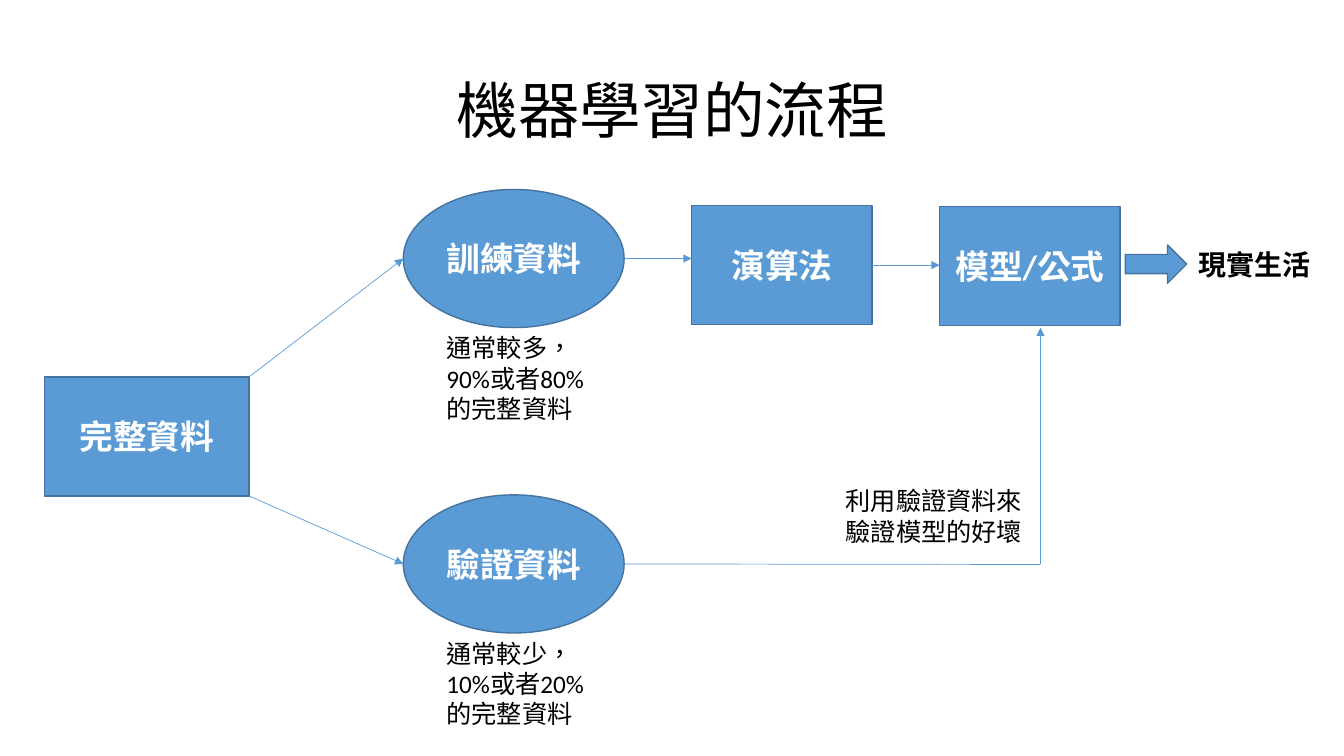
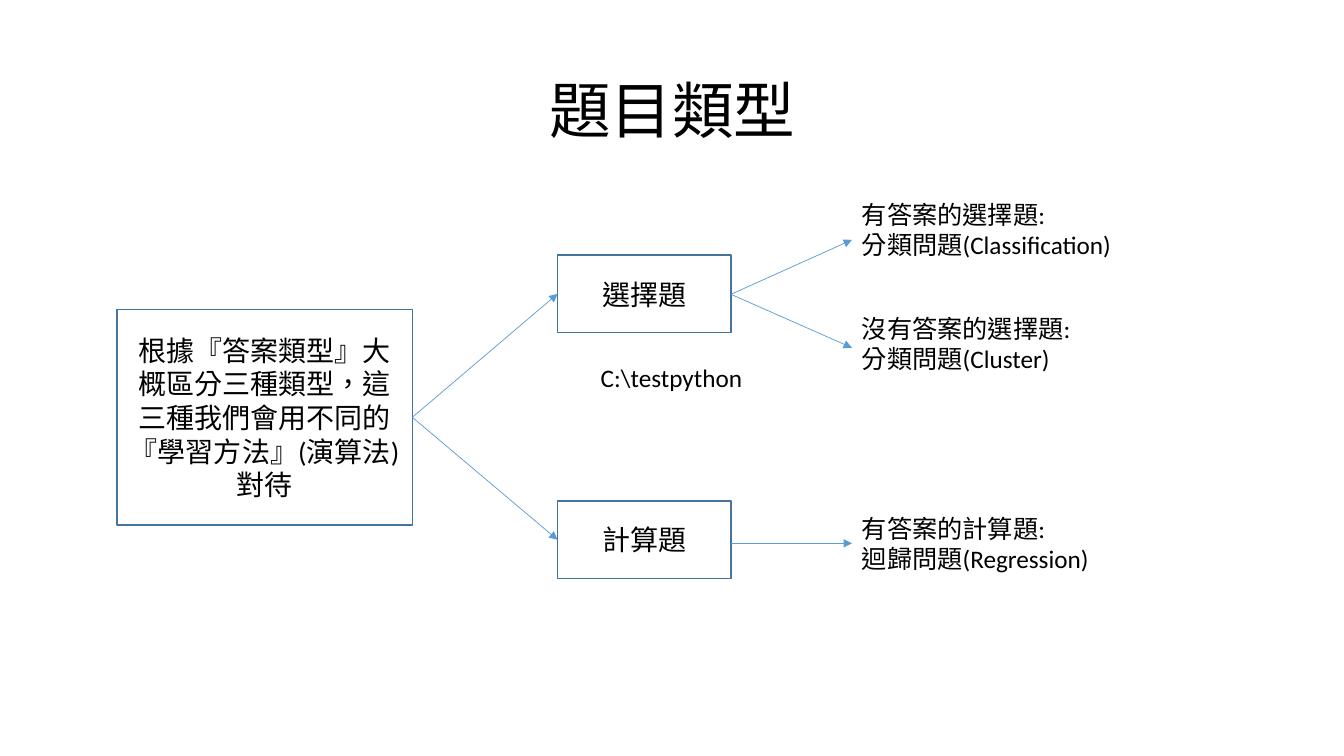
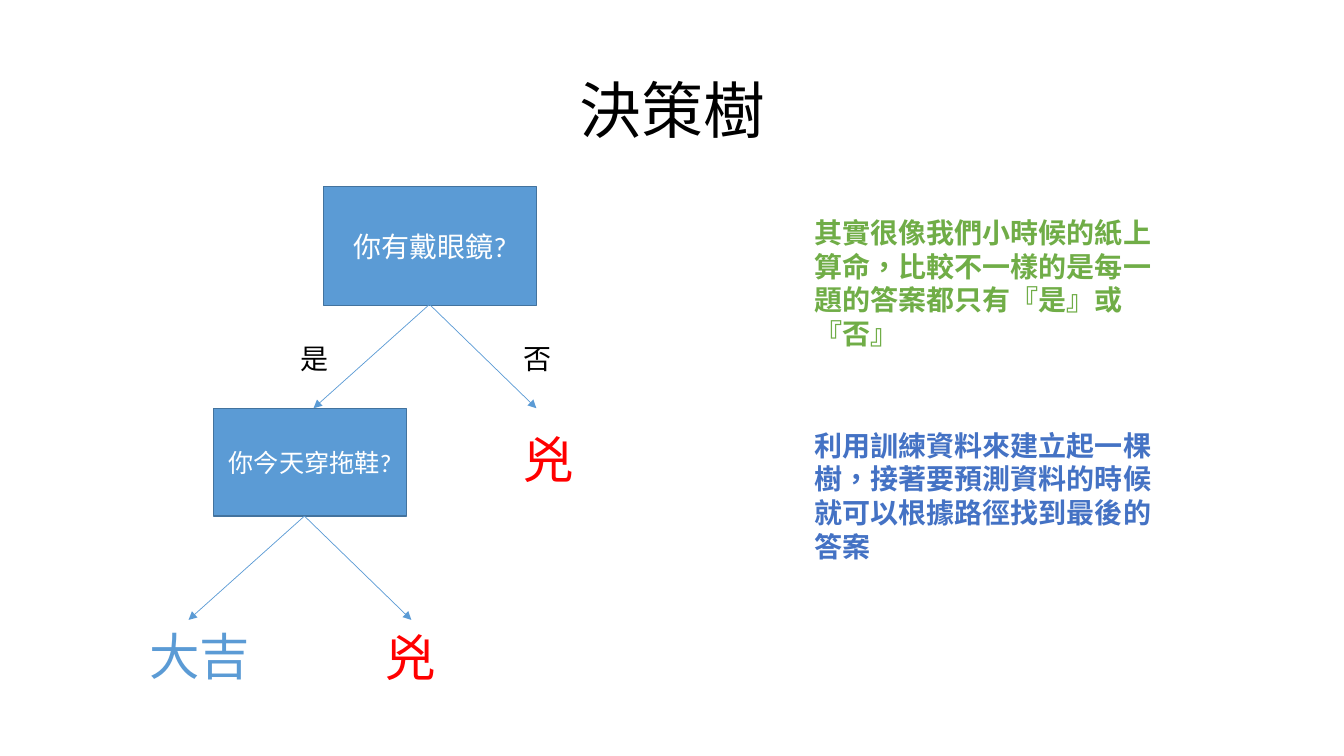
from dataclasses import dataclass

from lxml import etree
from pptx import Presentation
from pptx import util as u
from pptx.dml.color import RGBColor
from pptx.enum import lang, shapes, text
from pptx.oxml.ns import qn

RECTANGLE = shapes.MSO_SHAPE.RECTANGLE
ELLIPSE = shapes.MSO_SHAPE.OVAL
RIGHT_ARROW = shapes.MSO_SHAPE.RIGHT_ARROW


@dataclass(frozen=True)
class Theme:
    font: str = "Calibri"
    black: str = "000000"
    white: str = "FFFFFF"
    blue: str = "5B9BD5"
    outline: str = "43739E"
    red: str = "FF0000"
    green: str = "70AD47"
    royal: str = "4472C4"
    title: int = 44
    verdict: int = 36
    heading: int = 24
    body: int = 20
    note: int = 18


class Deck:
    def __init__(self, theme):
        self.theme = theme
        self.presentation = Presentation()
        self.presentation.slide_width = u.Inches(13.33)
        self.presentation.slide_height = u.Inches(7.5)
        self.slide = None

    def place(self, shape, left, top, width, height):
        shape.left, shape.top = u.Inches(left), u.Inches(top)
        shape.width, shape.height = u.Inches(width), u.Inches(height)

    def set_text(self, shape, content, size, color, bold=False, align=text.PP_ALIGN.LEFT):
        frame = shape.text_frame
        frame.text = content
        for paragraph in frame.paragraphs:
            paragraph.alignment = align
            font = paragraph.font
            font.name, font.size, font.bold = self.theme.font, u.Pt(size), bold
            font.color.rgb = RGBColor.from_string(color)
            for run in paragraph.runs:
                run.font.language_id = lang.MSO_LANGUAGE_ID.TRADITIONAL_CHINESE
        return frame

    def new_slide(self, title):
        self.slide = self.presentation.slides.add_slide(self.presentation.slide_layouts[5])
        placeholder = self.slide.shapes.title
        self.place(placeholder, 0.92, 0.4, 11.5, 1.45)
        frame = self.set_text(placeholder, title, self.theme.title, self.theme.black,
                              align=text.PP_ALIGN.CENTER)
        frame.vertical_anchor = text.MSO_ANCHOR.MIDDLE
        frame.paragraphs[0].line_spacing = 0.9

    def box(self, kind, at, content="", size=None, bold=False, filled=True):
        theme = self.theme
        shape = self.slide.shapes.add_shape(kind, *map(u.Inches, at))
        shape.shadow.inherit = False
        shape.fill.solid()
        shape.fill.fore_color.rgb = RGBColor.from_string(theme.blue if filled else theme.white)
        shape.line.color.rgb = RGBColor.from_string(theme.outline)
        shape.line.width = u.Pt(1)
        if content:
            frame = self.set_text(shape, content, size or theme.body,
                                  theme.white if filled else theme.black,
                                  bold, text.PP_ALIGN.CENTER)
            frame.word_wrap = True
            frame.vertical_anchor = text.MSO_ANCHOR.MIDDLE
        return shape

    def label(self, at, content, size=None, color=None, bold=False, wrap=False):
        shape = self.slide.shapes.add_textbox(*map(u.Inches, at))
        frame = self.set_text(shape, content, size or self.theme.note,
                              color or self.theme.black, bold)
        frame.word_wrap = wrap
        frame.auto_size = text.MSO_AUTO_SIZE.SHAPE_TO_FIT_TEXT

    def line(self, start, end, arrow=True):
        connector = self.slide.shapes.add_connector(
            shapes.MSO_CONNECTOR.STRAIGHT, *map(u.Inches, (*start, *end)))
        connector.line.color.rgb = RGBColor.from_string(self.theme.blue)
        connector.line.width = u.Pt(0.5)
        properties = connector.element.find(qn("p:spPr"))
        if arrow:
            etree.SubElement(properties.find(qn("a:ln")), qn("a:tailEnd"), type="triangle")
        etree.SubElement(properties, qn("a:effectLst"))


def point(shape, across, down):
    return ((shape.left + shape.width * across) / u.Inches(1),
            (shape.top + shape.height * down) / u.Inches(1))


def learning_process(deck):
    theme = deck.theme
    deck.new_slide("機器學習的流程")

    def step(kind, at, content):
        return deck.box(kind, at, content, theme.heading, bold=True)

    full_data = step(RECTANGLE, (0.44, 3.74, 2.03, 1.18), "完整資料")
    subsets = []
    for row, (name, amount) in enumerate([("訓練資料", "通常較多，90%或者80%的完整資料"),
                                          ("驗證資料", "通常較少，10%或者20%的完整資料")]):
        offset = row * 3.03
        subset = step(ELLIPSE, (4, 1.88 + offset, 2.19, 1.37), name)
        deck.label((4.33, 3.25 + offset, 1.7, 1.01), amount, wrap=True)
        deck.line(point(full_data, 1, row), point(subset, 0, 0.5))
        subsets.append(subset)
    training, validation = subsets

    algorithm = step(RECTANGLE, (6.86, 2.04, 1.79, 1.18), "演算法")
    step(RECTANGLE, (9.32, 2.05, 1.79, 1.18), "模型/公式")
    for source, target_x in ((training, 6.86), (algorithm, 9.32)):
        x, y = point(source, 1, 0.5)
        deck.line((x, y), (target_x, y))

    corner = (10.32, 5.6)
    deck.line(corner, point(validation, 1, 0.5), arrow=False)
    deck.line(corner, (10.32, 3.25))
    deck.label((8.29, 4.77, 2.06, 0.7), "利用驗證資料來驗證模型的好壞", wrap=True)
    deck.box(RIGHT_ARROW, (11.16, 2.43, 0.61, 0.38))
    deck.label((11.79, 2.41, 1.4, 0.44), "現實生活", theme.body, bold=True, wrap=True)


def question_types(deck):
    deck.new_slide("題目類型")
    overview = deck.box(
        RECTANGLE, (1.16, 3.07, 2.93, 2.14),
        "根據『答案類型』大概區分三種類型，這三種我們會用不同的『學習方法』(演算法)對待",
        filled=False)
    for top, name in ((2.53, "選擇題"), (4.97, "計算題")):
        question = deck.box(RECTANGLE, (5.53, top, 1.72, 0.77), name, filled=False)
        deck.line(point(overview, 1, 0.5), point(question, 0, 0.5))

    for start_y, end_y, top, width, content in (
            (2.92, 2.38, 1.93, 2.7, "有答案的選擇題:\n分類問題(Classification)"),
            (2.92, 3.45, 3.06, 2.29, "沒有答案的選擇題:\n分類問題(Cluster)"),
            (5.39, 5.39, 5.04, 2.47, "有答案的計算題:\n迴歸問題(Regression)")):
        deck.line((7.25, start_y), (8.45, end_y))
        deck.label((8.45, top, width, 0.71), content)
    deck.label((5.86, 3.55, 1.62, 0.4), "C:\\testpython")


def decision_tree(deck):
    theme = deck.theme
    deck.new_slide("決策樹")
    deck.box(RECTANGLE, (3.21, 1.85, 2.11, 1.18), "你有戴眼鏡?")
    deck.box(RECTANGLE, (2.12, 4.05, 1.91, 1.07), "你今天穿拖鞋?", theme.note)
    for x, y in ((4.26, 3.02), (3.02, 5.12)):
        for reach in (-1.15, 1.06):
            deck.line((x, y), (x + reach, y + 1.03))
    for left, answer in ((2.88, "是"), (5.09, "否")):
        deck.label((left, 3.34, 0.48, 0.44), answer, theme.body)
    for left, top, width, verdict, color in ((5.09, 4.2, 0.71, "兇", theme.red),
                                             (3.73, 6.16, 0.71, "兇", theme.red),
                                             (1.38, 6.15, 1.21, "大吉", theme.blue)):
        deck.label((left, top, width, 0.71), verdict, theme.verdict, color)
    for top, color, remark in (
            (2.09, theme.green,
             "其實很像我們小時候的紙上算命，比較不一樣的是每一題的答案都只有『是』或『否』"),
            (4.2, theme.royal,
             "利用訓練資料來建立起一棵樹，接著要預測資料的時候就可以根據路徑找到最後的答案")):
        deck.label((7.98, top, 3.67, 1.45), remark, theme.body, color, bold=True, wrap=True)


deck = Deck(Theme())
for build in (learning_process, question_types, decision_tree):
    build(deck)
deck.presentation.save("out.pptx")
